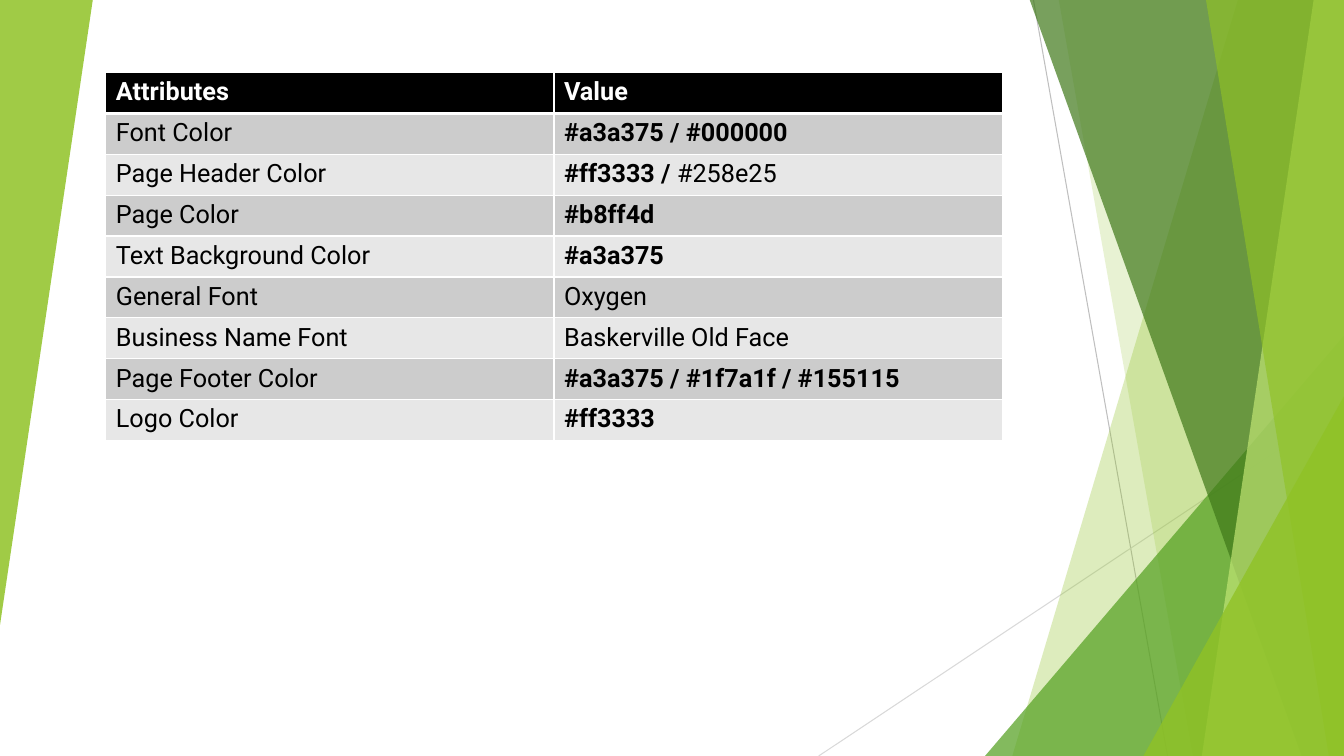
"""Builds a slide with a style attribute table between green facets."""
from lxml.etree import SubElement
from pptx import Presentation
from pptx.dml.color import RGBColor
from pptx.enum.shapes import MSO_CONNECTOR, MSO_SHAPE
from pptx.oxml.ns import qn
from pptx.util import Inches, Pt

COLORS = {
    "white": "FFFFFF", "black": "000000", "line": "BFBFBF", "pale line": "D9D9D9",
    "lime": "90C226", "green": "54A021", "forest": "3F7819", "light": "C0E474",
    "odd row": "CCCCCC", "even row": "E7E7E7",
}
TOP, RIGHT, BOTTOM = -0.01, 13.33, 7.5


def paint(fill, color, opacity=100):
    fill.solid()
    fill.fore_color.rgb = RGBColor.from_string(COLORS[color])
    if opacity < 100:
        tint = fill._xPr.find(qn("a:solidFill"))[0]
        SubElement(tint, qn("a:alpha"), val=str(opacity * 1000))


def add_border(cell, side, points):
    border = SubElement(cell._tc.get_or_add_tcPr(), qn(f"a:ln{side}"), w=str(Pt(points)))
    solid = SubElement(border, qn("a:solidFill"))
    SubElement(solid, qn("a:srgbClr"), val=COLORS["white"])


deck = Presentation()
deck.slide_width, deck.slide_height = Inches(RIGHT), Inches(BOTTOM)
page = deck.slides.add_slide(deck.slide_layouts[6])

for color, *ends in [("line", 10.25, 0, 11.58, BOTTOM), ("pale line", RIGHT, 4.03, 8.12, BOTTOM)]:
    ray = page.shapes.add_connector(MSO_CONNECTOR.STRAIGHT, *[Inches(end) for end in ends])
    ray.line.width = Pt(0.75)
    ray.line.color.rgb = RGBColor.from_string(COLORS[color])
    SubElement(ray._element.spPr, qn("a:effectLst"))

facets = [
    ("band", (12.28, 10.04), "lime", 30, 0),
    ("band", (10.5, 11.83), "lime", 20, 0),
    ("triangle", (9.77, 3.33, 3.56, 4.17), "green", 72, 0),
    ("band", (10.21, 12.91), "forest", 70, 0),
    ("band", (13.03, 11.92), "light", 70, 0),
    ("band", (11.96, 13.18), "lime", 65, 0),
    ("triangle", (11.34, 3.93, 1.99, 3.57), "lime", 80, 0),
    ("triangle", (0, 0, 0.92, 6.2), "lime", 85, 180),
]
for kind, place, color, opacity, rotation in facets:
    if kind == "band":
        top_left, bottom_left = place
        outline = page.shapes.build_freeform(Inches(top_left), Inches(TOP))
        corners = [(RIGHT, TOP), (RIGHT, BOTTOM), (bottom_left, BOTTOM)]
        outline.add_line_segments([(Inches(x), Inches(y)) for x, y in corners], close=True)
        facet = outline.convert_to_shape()
    else:
        facet = page.shapes.add_shape(
            MSO_SHAPE.ISOSCELES_TRIANGLE, *[Inches(length) for length in place])
        facet.adjustments[0] = 1
        facet.rotation = rotation
    paint(facet.fill, color, opacity)
    facet.line.fill.background()
    facet.shadow.inherit = False

rows = [
    ("Attributes", [("Value", True)]),
    ("Font Color", [("#a3a375 / #000000", True)]),
    ("Page Header Color", [("#ff3333 / ", True), ("#258e25", False)]),
    ("Page Color", [("#b8ff4d", True)]),
    ("Text Background Color", [("#a3a375", True)]),
    ("General Font", [("Oxygen", False)]),
    ("Business Name Font", [("Baskerville Old Face", False)]),
    ("Page Footer Color", [("#a3a375 / #1f7a1f / #155115", True)]),
    ("Logo Color", [("#ff3333", True)]),
]
table = page.shapes.add_table(
    len(rows), 2, Inches(1.05), Inches(0.72), Inches(8.89), Inches(3.65)).table
for row, (attribute, value) in enumerate(rows):
    header = row == 0
    fill_color = "black" if header else "odd row" if row % 2 else "even row"
    for column, spans in enumerate([[(attribute, header)], value]):
        cell = table.cell(row, column)
        for side in "LRTB":
            thick = (row, side) in [(0, "B"), (1, "T")]
            add_border(cell, side, 3 if thick else 1)
        paint(cell.fill, fill_color)
        para = cell.text_frame.paragraphs[0]
        for text, bold in spans:
            span = para.add_run()
            span.text = text
            span.font.name = "Roboto"
            span.font.size = Pt(18)
            span.font.bold = bold
            span.font.color.rgb = RGBColor.from_string(COLORS["white" if header else "black"])

deck.save("out.pptx")
